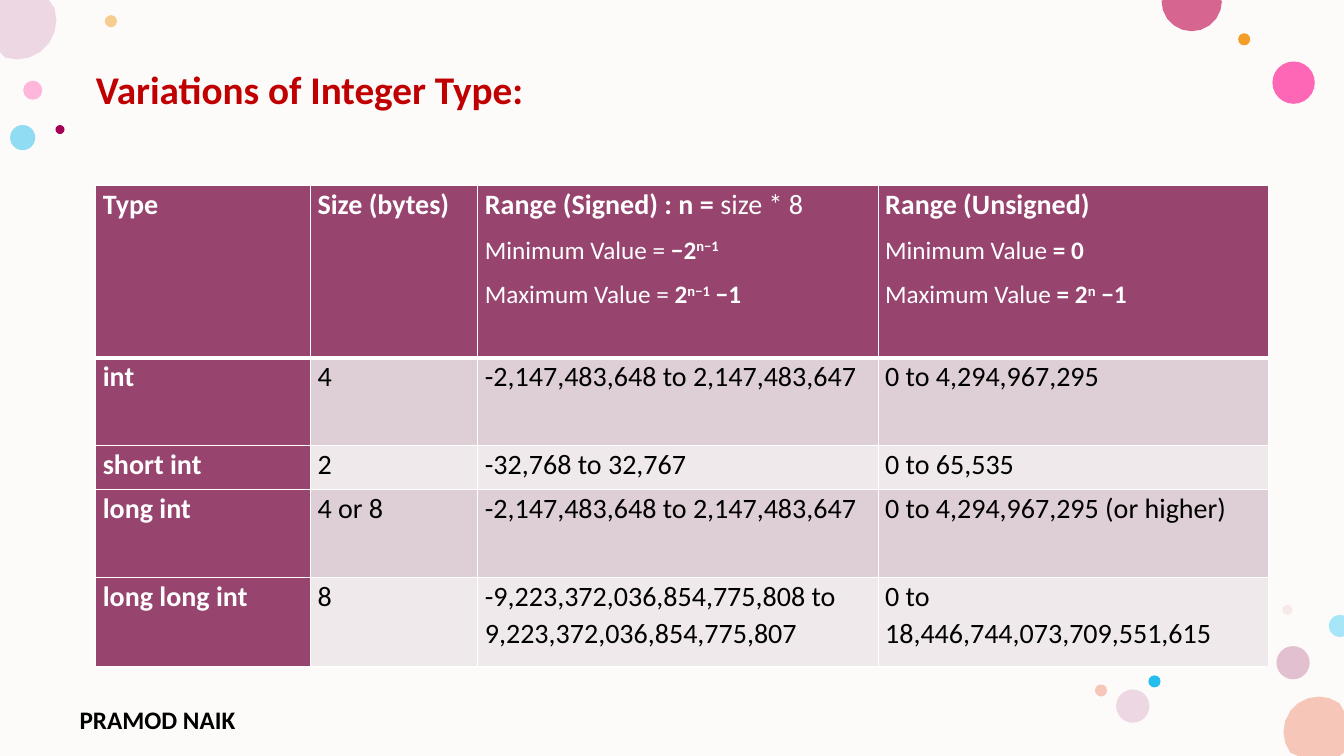
import math

import pptx
import pptx.dml.color
import pptx.enum.shapes
import pptx.enum.text
import pptx.oxml
import pptx.oxml.ns
import pptx.util
from pptx.util import Inches

WIDTH, HEIGHT = 13.33, 7.5
FONT = "Calibri"
COLORS = {
    "background": "FDFBF9", "title": "C00000", "text": "000000", "white": "FFFFFF",
    "plum": "97446E", "band_dark": "DDCFD5", "band_light": "EFE9EB",
    "pink": "FF75BD", "hot_pink": "FF2F9C", "rose": "D6658F", "mauve": "C987A8",
    "lilac": "EDD7E2", "orange": "F39E29", "peach": "F6C7B9", "blush": "E3BEBE",
    "blue": "24BEEE", "pale_blue": "A7E5F8", "wine": "A40056",
}
DOTS = [
    (0.23, 0.8, 0.19, "pink", 50), (1.04, 0.15, 0.12, "orange", 50),
    (12.66, 6.41, 0.33, "mauve", 50), (0.1, 1.24, 0.25, "blue", 50),
    (12.62, 0.61, 0.42, "hot_pink", 72), (12.28, 0.33, 0.12, "orange", 100),
    (12.72, 6, 0.1, "blush", 28), (11.39, 6.7, 0.12, "blue", 100),
    (11.07, 6.84, 0.33, "lilac", 100), (10.86, 6.79, 0.12, "peach", 100),
    (0.55, 1.24, 0.09, "wine", 100),
]
EDGE_DOTS = [
    (13.08, 7.26, 0.35, "peach"), (0.17, 0.2, 0.39, "lilac"),
    (11.82, 0.01, 0.3, "rose"), (13.29, 6.21, 0.11, "pale_blue"),
]
COLUMN_WIDTHS = [2.13, 1.66, 3.97, 3.87]
ROW_HEIGHTS = [1.71, 0.87, 0.44, 0.87, 0.88]
BOLD, PLAIN, POWER = "bold", "plain", "power"
HEADER = [
    [[("Type", BOLD)]],
    [[("Size (bytes)", BOLD)]],
    [[("Range (Signed) : n = ", BOLD), ("size * 8", PLAIN)],
     [("Minimum Value = ", PLAIN), ("−2", BOLD), ("n−1", POWER)],
     [("Maximum Value = ", PLAIN), ("2", BOLD), ("n−1", POWER), (" −1", BOLD)]],
    [[("Range (Unsigned)", BOLD)],
     [("Minimum Value ", PLAIN), ("= 0", BOLD)],
     [("Maximum Value ", PLAIN), ("= 2", BOLD), ("n", POWER), (" −1", BOLD)]],
]
INTEGER_TYPES = [
    ("int", "4", "-2,147,483,648 to 2,147,483,647", "0 to 4,294,967,295"),
    ("short int", "2", "-32,768 to 32,767", "0 to 65,535"),
    ("long int", "4 or 8", "-2,147,483,648 to 2,147,483,647",
     "0 to 4,294,967,295 (or higher)"),
    ("long long int", "8", "-9,223,372,036,854,775,808 to 9,223,372,036,854,775,807",
     "0 to 18,446,744,073,709,551,615"),
]


def rgb(name):
    """Return the named colour."""
    return pptx.dml.color.RGBColor.from_string(COLORS[name])


def set_font(font, size, color, bold=None):
    """Apply the slide font with a size, colour and weight."""
    font.name, font.size, font.bold = FONT, pptx.util.Pt(size), bold
    font.color.rgb = rgb(color)


def paint(shape, color, opacity=100):
    """Give a shape a flat fill without outline or shadow."""
    shape.shadow.inherit = False
    shape.line.fill.background()
    shape.fill.solid()
    shape.fill.fore_color.rgb = rgb(color)
    if opacity < 100:
        fill_color = shape.fill._xPr.find(".//" + pptx.oxml.ns.qn("a:srgbClr"))
        fill_color.append(pptx.oxml.parse_xml(
            f'<a:alpha {pptx.oxml.ns.nsdecls("a")} val="{opacity * 1000}"/>'))


def add_backdrop(slide):
    """Fill the slide and scatter the dots, cutting those that cross its edge."""
    backdrop = slide.shapes.add_shape(pptx.enum.shapes.MSO_SHAPE.RECTANGLE, 0, 0,
                                      Inches(WIDTH), Inches(HEIGHT))
    paint(backdrop, "background")
    for left, top, size, color, opacity in DOTS:
        dot = slide.shapes.add_shape(pptx.enum.shapes.MSO_SHAPE.OVAL, Inches(left),
                                     Inches(top), Inches(size), Inches(size))
        paint(dot, color, opacity)
    for center_x, center_y, radius, color in EDGE_DOTS:
        angles = [math.radians(degree) for degree in range(0, 360, 18)]
        points = [(Inches(min(max(center_x + radius * math.cos(angle), 0), WIDTH)),
                   Inches(min(max(center_y + radius * math.sin(angle), 0), HEIGHT)))
                  for angle in angles]
        outline = list(dict.fromkeys(points))
        builder = slide.shapes.build_freeform(*outline[0])
        builder.add_line_segments(outline[1:])
        paint(builder.convert_to_shape(), color)


def add_title(slide, left, top, width, height):
    """Place the heading in the title placeholder."""
    title = slide.shapes.title
    slide.shapes._spTree.append(title._element)
    title.left, title.top = Inches(left), Inches(top)
    title.width, title.height = Inches(width), Inches(height)
    title.text_frame.text = "Variations of Integer Type:"
    title.text_frame.vertical_anchor = pptx.enum.text.MSO_ANCHOR.TOP
    paragraph = title.text_frame.paragraphs[0]
    paragraph.alignment = pptx.enum.text.PP_ALIGN.LEFT
    paragraph.line_spacing = 0.9
    set_font(paragraph.font, 28, "title", True)


def add_author(slide, left, top, width, height):
    """Place the author's name at the foot of the slide."""
    box = slide.shapes.add_textbox(Inches(left), Inches(top), Inches(width), Inches(height))
    box.text_frame.word_wrap = True
    box.text_frame.text = "PRAMOD NAIK"
    set_font(box.text_frame.paragraphs[0].font, 18, "text", True)


def format_cell(cell, fill, top_border=1, bottom_border=1):
    """Set the margins, white borders and fill of a cell."""
    cell.margin_left, cell.margin_right = Inches(0.07), Inches(0.08)
    cell.margin_top = cell.margin_bottom = 0
    properties = cell._tc.get_or_add_tcPr()
    borders = {"lnL": 1, "lnR": 1, "lnT": top_border, "lnB": bottom_border}
    for tag, points in borders.items():
        properties.append(pptx.oxml.parse_xml(
            f'<a:{tag} {pptx.oxml.ns.nsdecls("a")} w="{pptx.util.Pt(points)}"><a:solidFill>'
            f'<a:srgbClr val="{COLORS["white"]}"/></a:solidFill></a:{tag}>'))
    cell.fill.solid()
    cell.fill.fore_color.rgb = rgb(fill)


def write_cell(cell, lines, color):
    """Write lines of styled pieces, the first line larger than the rest."""
    for index, pieces in enumerate(lines):
        frame = cell.text_frame
        paragraph = frame.add_paragraph() if index else frame.paragraphs[0]
        paragraph.line_spacing = 1.07
        paragraph.space_after = pptx.util.Pt(8)
        set_font(paragraph.font, 18 if index else 20, color)
        for text, style in pieces:
            run = paragraph.add_run()
            run.text = text
            run.font.bold = style != PLAIN
            if style == POWER:
                run._r.get_or_add_rPr().set("baseline", "30000")


def add_integer_table(slide, left, top):
    """Build the table of integer types, sizes and ranges."""
    table = slide.shapes.add_table(
        len(ROW_HEIGHTS), len(COLUMN_WIDTHS), Inches(left), Inches(top),
        Inches(sum(COLUMN_WIDTHS)), Inches(sum(ROW_HEIGHTS))).table
    table.horz_banding = False
    for column, width in zip(table.columns, COLUMN_WIDTHS):
        column.width = Inches(width)
    for row, height in zip(table.rows, ROW_HEIGHTS):
        row.height = Inches(height)
    for column, lines in enumerate(HEADER):
        format_cell(table.cell(0, column), "plum", bottom_border=3)
        write_cell(table.cell(0, column), lines, "white")
    for row, values in enumerate(INTEGER_TYPES, 1):
        band = "band_dark" if row % 2 else "band_light"
        for column, value in enumerate(values):
            is_name = column == 0
            cell = table.cell(row, column)
            format_cell(cell, "plum" if is_name else band, top_border=3 if row == 1 else 1)
            write_cell(cell, [[(value, BOLD if is_name else PLAIN)]],
                       "white" if is_name else "text")


def main():
    """Build and save the slide."""
    presentation = pptx.Presentation()
    presentation.slide_width, presentation.slide_height = Inches(WIDTH), Inches(HEIGHT)
    slide = presentation.slides.add_slide(presentation.slide_layouts[5])
    add_backdrop(slide)
    add_author(slide, 0.69, 6.94, 2.45, 0.32)
    add_title(slide, 0.85, 0.65, 11.66, 0.6)
    add_integer_table(slide, 0.95, 1.84)
    presentation.save("out.pptx")


if __name__ == "__main__":
    main()
